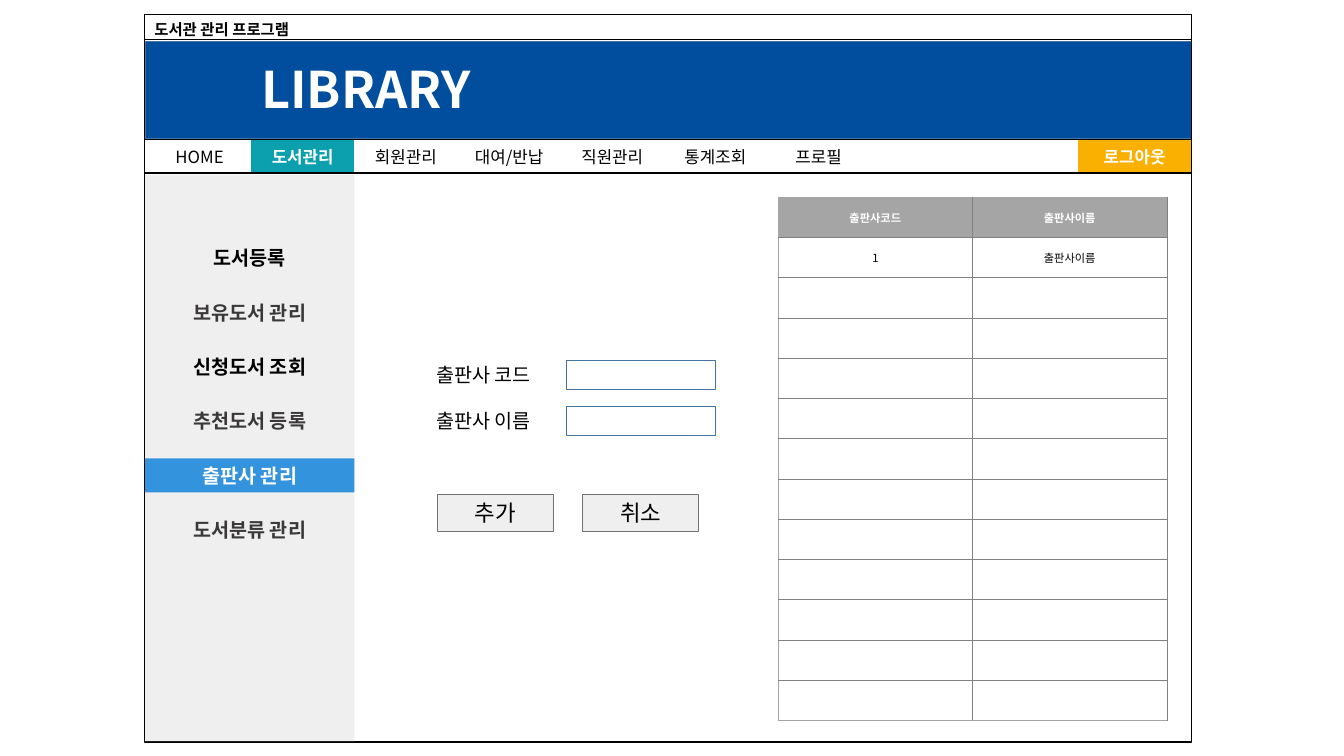
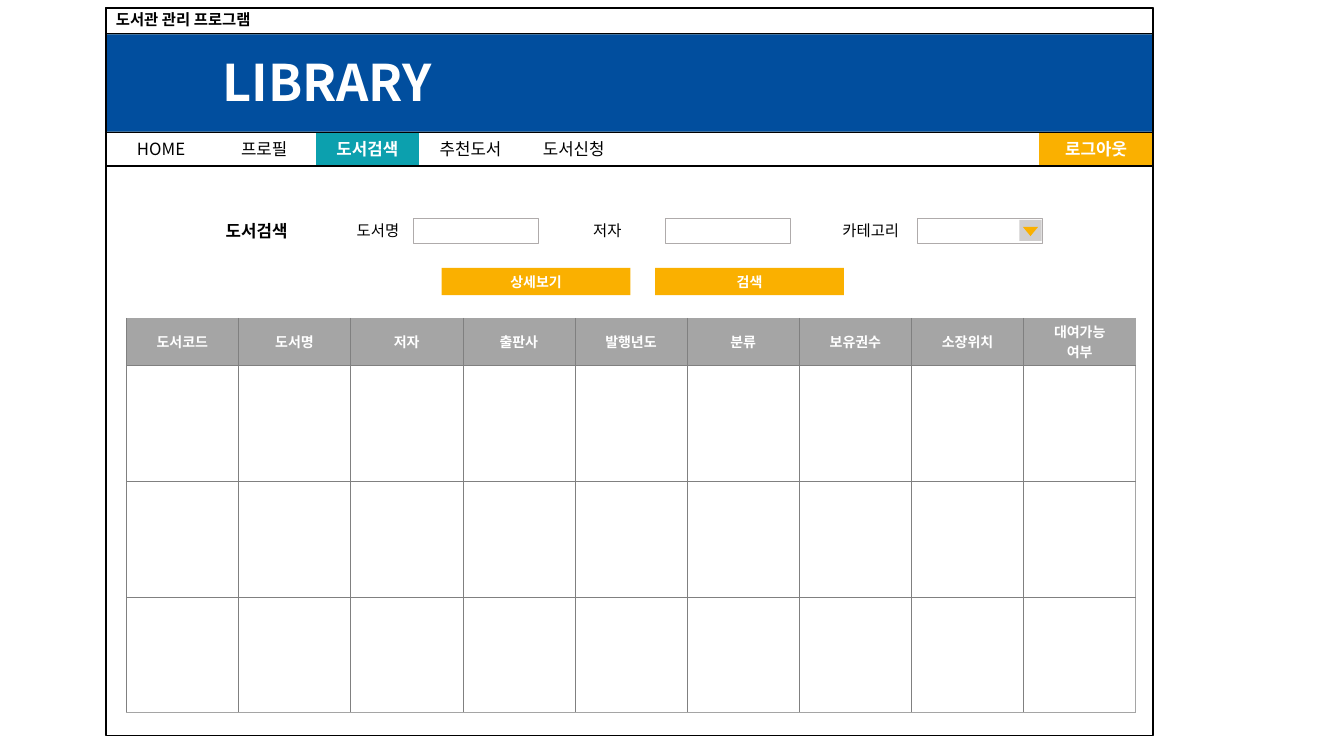
from lxml import etree
from pptx import Presentation
from pptx.dml.color import RGBColor
from pptx.enum.shapes import MSO_SHAPE
from pptx.enum.text import MSO_ANCHOR, PP_ALIGN
from pptx.oxml.ns import qn
from pptx.util import Cm, Pt

RECT = MSO_SHAPE.RECTANGLE
FLOW = MSO_SHAPE.FLOWCHART_PROCESS
MERGE = MSO_SHAPE.FLOWCHART_MERGE
LEFT, MID = PP_ALIGN.LEFT, PP_ALIGN.CENTER
CENTER = MSO_ANCHOR.MIDDLE


class Theme:
    font = "Noto Sans CJK KR"
    # Colours
    black, white, dark = "000000", "FFFFFF", "3B3838"
    navy, steel, teal, amber, sky = "014E9E", "43739E", "0CA0AE", "FAB000", "3493DD"
    pale, edge, field, drop = "EFEFEF", "767171", "AFABAB", "D0CECE"
    head, rule = "A5A5A5", "808080"
    # Type sizes
    logo, button, side, menu, label, small, tiny = 36, 16, 14, 12, 11, 10, 8


def write(frame, text, size=Theme.menu, color=Theme.black, bold=False, align=MID):
    """Fill a text frame, one paragraph per line."""
    frame.word_wrap = True
    frame.vertical_anchor = CENTER
    frame.margin_top = frame.margin_bottom = 0
    for n, line in enumerate(text.split("\n")):
        para = frame.paragraphs[0] if n == 0 else frame.add_paragraph()
        para.alignment = align
        run = para.add_run()
        run.text = line
        run.font.size, run.font.bold = Pt(size), bold
        run.font.color.rgb = RGBColor.from_string(color)
        run.font.name = Theme.font
        east = etree.SubElement(run.font._element, qn("a:ea"))
        east.set("typeface", Theme.font)


def box(slide, x, y, w, h, text="", kind=RECT, fill=None, line=None, width=1, **style):
    """Draw a shape, or a text box where there is no fill or line."""
    area = Cm(x), Cm(y), Cm(w), Cm(h)
    if fill or line:
        shape = slide.shapes.add_shape(kind, *area)
        shape.shadow.inherit = False
        if fill:
            shape.fill.solid()
            shape.fill.fore_color.rgb = RGBColor.from_string(fill)
        else:
            shape.fill.background()
        if line:
            shape.line.color.rgb = RGBColor.from_string(line)
            shape.line.width = Pt(width)
        else:
            shape.line.fill.background()
    else:
        shape = slide.shapes.add_textbox(*area)
    if text:
        write(shape.text_frame, text, **style)


deck = Presentation()
deck.slide_width, deck.slide_height = Cm(33.87), Cm(19.05)

# Window frame, banner and menu: left, top, caption top, banner top, active item, items
pages = [
    (3.64, 0.36, 0.36, 1.04, "도서관리",
     ["HOME", "도서관리", "회원관리", "대여/반납", "직원관리", "통계조회", "프로필"]),
    (2.67, 0.2, 0.13, 0.86, "도서검색",
     ["HOME", "프로필", "도서검색", "추천도서", "도서신청"]),
]
wide, bar, step, exit_w = 26.39, 0.84, 2.6, 2.87
slides = []
for left, top, cap, band, active, items in pages:
    slide = deck.slides.add_slide(deck.slide_layouts[6])
    slides.append(slide)
    box(slide, left, cap, 7.8, 0.74, "도서관 관리 프로그램",
        size=Theme.label, bold=True, align=LEFT)
    box(slide, left + 0.02, band, wide - 0.02, 2.46, fill=Theme.navy, line=Theme.steel)
    box(slide, left + 2.69, band + 0.28, 6.5, 1.8, "LIBRARY",
        size=Theme.logo, color=Theme.white, bold=True, align=LEFT)
    menu = band + 2.48
    for n, item in enumerate(items):
        on = item == active
        box(slide, left + 0.09 + n * step, menu, step, bar, item, kind=FLOW,
            fill=Theme.teal if on else Theme.white,
            color=Theme.white if on else Theme.black, bold=on)
    box(slide, left + wide - exit_w, menu, exit_w, bar, "로그아웃", kind=FLOW,
        fill=Theme.amber, color=Theme.white, bold=True)
    for y, h in [(top, 0.64), (menu, bar), (top, 18.34)]:
        box(slide, left, y, wide, h, kind=FLOW, line=Theme.black)

entry, search = slides

# Publisher page: side menu
box(entry, 3.66, 4.4, 5.27, 14.28, fill=Theme.pale)
side = ["도서등록", "보유도서 관리", "신청도서 조회", "추천도서 등록", "출판사 관리", "도서분류 관리"]
for n, item in enumerate(side):
    on = item == "출판사 관리"
    tint = Theme.white if on else (Theme.black, Theme.dark)[n % 2]
    box(entry, 3.66, 6.07 + n * 1.37, 5.27, 0.86, item,
        fill=Theme.sky if on else None, size=Theme.side, color=tint, bold=True)

# Publisher page: form
for n, name in enumerate(["출판사 코드", "출판사 이름"]):
    y = 9.09 + n * 1.16
    box(entry, 10.41, y - 0.07, 3.56, 0.86, name, size=Theme.side)
    box(entry, 14.27, y, 3.77, 0.72, fill=Theme.white, line=Theme.steel)
for n, name in enumerate(["추가", "취소"]):
    box(entry, 11.02 + n * 3.66, 12.45, 2.93, 0.94, name, size=Theme.button,
        fill=Theme.pale, line=Theme.edge, width=0.75)

# Search page: fields
box(search, 5.44, 5.43, 2.24, 0.76, "도서검색", bold=True, align=LEFT)
for n, (x, name) in enumerate([(8.74, "도서명"), (14.7, "저자"), (20.98, "카테고리")]):
    box(search, x, 5.44, 2.1, 0.74, name, size=Theme.label, align=LEFT)
    box(search, 10.41 + n * 6.35, 5.49, 3.16, 0.64,
        fill=Theme.white, line=Theme.field, width=0.25)
box(search, 25.69, 5.54, 0.56, 0.53, fill=Theme.drop)
box(search, 25.78, 5.72, 0.38, 0.23, kind=MERGE, fill=Theme.amber)

# Search page: buttons
for n, name in enumerate(["상세보기", "검색"]):
    box(search, 11.13 + n * 5.38, 6.75, 4.76, 0.69, name, size=Theme.small,
        fill=Theme.amber, color=Theme.white, bold=True)

# Tables: slide, left, top, width, height, head height, rows, type size, pale sides, text
grids = [
    (entry, 19.61, 4.96, 9.8, 13.2, 1.02, 13, Theme.tiny, "LTB",
     [["출판사코드", "출판사이름"], ["1", "출판사이름"]]),
    (search, 3.18, 8.02, 25.45, 9.94, 1.19, 4, Theme.small, "RTB",
     [["도서코드", "도서명", "저자", "출판사", "발행년도", "분류", "보유권수",
       "소장위치", "대여가능\n여부"]]),
]
for slide, x, y, w, h, top, rows, size, soft, data in grids:
    cols = len(data[0])
    table = slide.shapes.add_table(rows, cols, Cm(x), Cm(y), Cm(w), Cm(h)).table
    table.first_row = table.horz_banding = False
    for col in table.columns:
        col.width = Cm(w / cols)
    for r, row in enumerate(table.rows):
        row.height = Cm((h - top) / (rows - 1) if r else top)
        for c, cell in enumerate(row.cells):
            cell.margin_top = cell.margin_bottom = 0
            # Borders come before the fill in the cell's properties
            outer = {"L": c == 0, "R": c == cols - 1, "T": r == 0, "B": r == rows - 1}
            props = cell._tc.get_or_add_tcPr()
            for key, ends in outer.items():
                light = ends and key in soft
                edge = etree.SubElement(props, qn("a:ln" + key))
                edge.set("w", str(Pt(0.5 if light else 0.25)))
                paint = etree.SubElement(edge, qn("a:solidFill"))
                tint = etree.SubElement(paint, qn("a:srgbClr"))
                tint.set("val", Theme.head if light else Theme.rule)
            if r == 0:
                cell.fill.solid()
                cell.fill.fore_color.rgb = RGBColor.from_string(Theme.head)
            else:
                cell.fill.background()
            if r < len(data):
                cell.vertical_anchor = CENTER
                write(cell.text_frame, data[r][c], size=size, bold=r == 0,
                      color=Theme.black if r else Theme.white)

deck.save("out.pptx")
